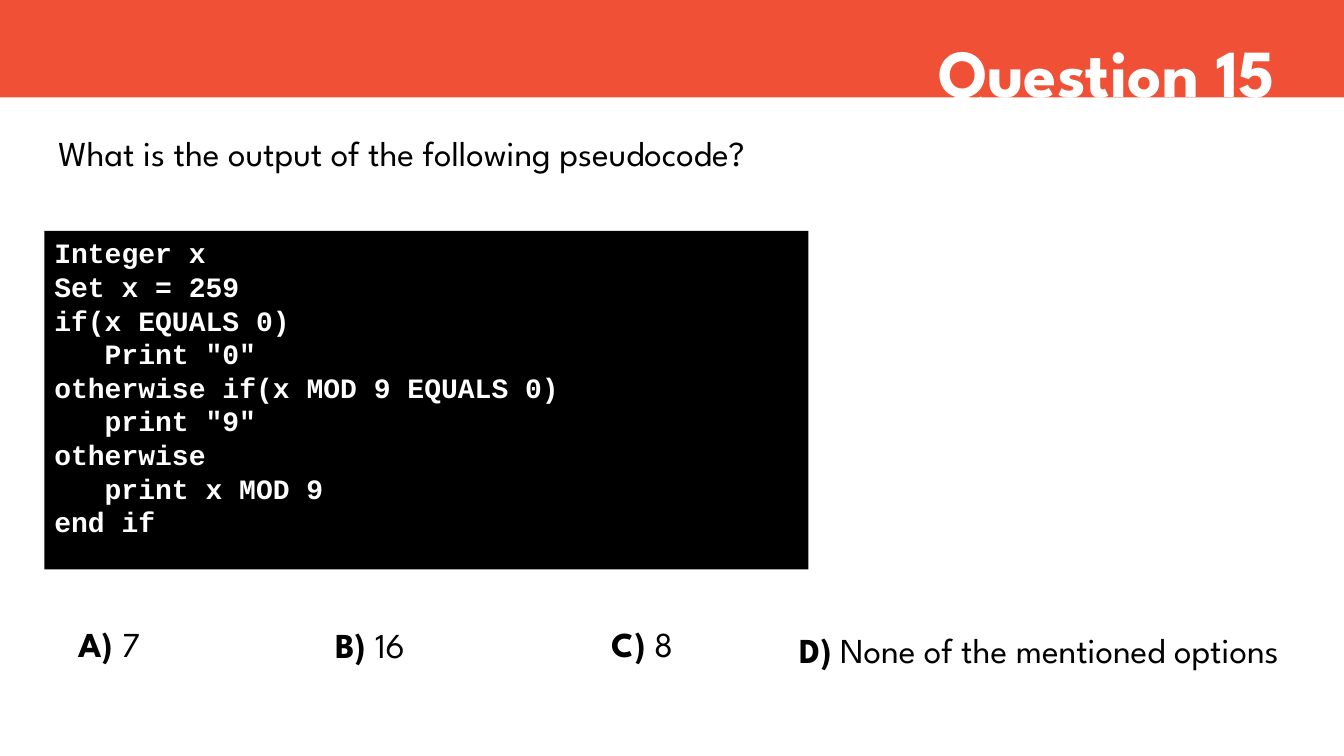
from dataclasses import dataclass

from pptx import Presentation
from pptx.dml.color import RGBColor
from pptx.enum.shapes import MSO_SHAPE
from pptx.enum.text import MSO_ANCHOR, MSO_AUTO_SIZE, PP_ALIGN
from pptx.shapes.autoshape import Shape
from pptx.slide import Slide
from pptx.text.text import TextFrame, _Paragraph
from pptx.util import Pt

COLORS = {"band": "F05136", "code": "000000", "light": "FFFFFF", "text": "000000"}
HEADING_FONT = "League Spartan"
CODE_FONT = "Courier New"
BODY_SIZE = 25

CODE_LINES = [
    "Integer x",
    "Set x = 259",
    "if(x EQUALS 0)",
    '\tPrint "0"',
    "otherwise if(x MOD 9 EQUALS 0)",
    '\tprint "9"',
    "otherwise",
    "\tprint x MOD 9",
    "end if",
]


@dataclass(frozen=True)
class Box:
    left: float
    top: float
    width: float
    height: float

    def lengths(self) -> tuple[Pt, Pt, Pt, Pt]:
        return Pt(self.left), Pt(self.top), Pt(self.width), Pt(self.height)


@dataclass(frozen=True)
class Option:
    letter: str
    answer: str
    box: Box


OPTIONS = [
    Option("A)", " 7", Box(48.96, 426.24, 183.6, 52.5)),
    Option("B)", " 16", Box(232.56, 426.96, 183.6, 52.5)),
    Option("C)", " 8", Box(429.84, 426.24, 183.6, 52.5)),
    Option("D)", " None of the mentioned options", Box(563.76, 430.56, 396.72, 52.5)),
]


def add_run(paragraph: _Paragraph, text: str, size: float, color: str,
            font_name: str = HEADING_FONT, bold: bool = False) -> None:
    run = paragraph.add_run()
    run.text = text
    run.font.name = font_name
    run.font.size = Pt(size)
    run.font.bold = bold
    run.font.color.rgb = RGBColor.from_string(COLORS[color])


def format_frame(frame: TextFrame) -> None:
    frame.word_wrap = True
    frame.auto_size = MSO_AUTO_SIZE.NONE
    frame.vertical_anchor = MSO_ANCHOR.TOP
    frame.margin_left = frame.margin_right = Pt(7.2)
    frame.margin_top = frame.margin_bottom = Pt(3.6)


def add_rectangle(slide: Slide, box: Box, color: str) -> Shape:
    shape = slide.shapes.add_shape(MSO_SHAPE.RECTANGLE, *box.lengths())
    shape.shadow.inherit = False
    shape.fill.solid()
    shape.fill.fore_color.rgb = RGBColor.from_string(COLORS[color])
    shape.line.fill.background()
    return shape


def add_text_box(slide: Slide, box: Box) -> _Paragraph:
    frame = slide.shapes.add_textbox(*box.lengths()).text_frame
    format_frame(frame)
    return frame.paragraphs[0]


def add_code(slide: Slide, box: Box, lines: list[str]) -> None:
    frame = add_rectangle(slide, box, "code").text_frame
    format_frame(frame)
    for index, line in enumerate(lines):
        paragraph = frame.add_paragraph() if index else frame.paragraphs[0]
        paragraph.alignment = PP_ALIGN.LEFT
        add_run(paragraph, line, 20, "light", CODE_FONT, bold=True)


def place_title(slide: Slide, box: Box, text: str) -> None:
    title = slide.shapes.title
    title.left, title.top, title.width, title.height = box.lengths()
    format_frame(title.text_frame)
    paragraph = title.text_frame.paragraphs[0]
    paragraph.alignment = PP_ALIGN.RIGHT
    add_run(paragraph, text, 48, "light", bold=True)
    title.element.getparent().append(title.element)


def add_option(slide: Slide, option: Option) -> None:
    paragraph = add_text_box(slide, option.box)
    paragraph.line_spacing = 1.5
    add_run(paragraph, option.letter, BODY_SIZE, "text", bold=True)
    add_run(paragraph, option.answer, BODY_SIZE, "text")


def main() -> None:
    presentation = Presentation()
    presentation.slide_width, presentation.slide_height = Pt(960), Pt(540)
    slide = presentation.slides.add_slide(presentation.slide_layouts[5])

    add_code(slide, Box(31.68, 164.88, 545.76, 241.92), CODE_LINES)
    add_rectangle(slide, Box(0, 0, 960, 69.6), "band")
    place_title(slide, Box(306, 18, 612, 65.5), "Question 15")
    question = add_text_box(slide, Box(34.56, 90.72, 862.56, 37.44))
    add_run(question, "What is the output of the following pseudocode?", BODY_SIZE, "text")
    for option in OPTIONS:
        add_option(slide, option)

    presentation.save("out.pptx")


if __name__ == "__main__":
    main()
